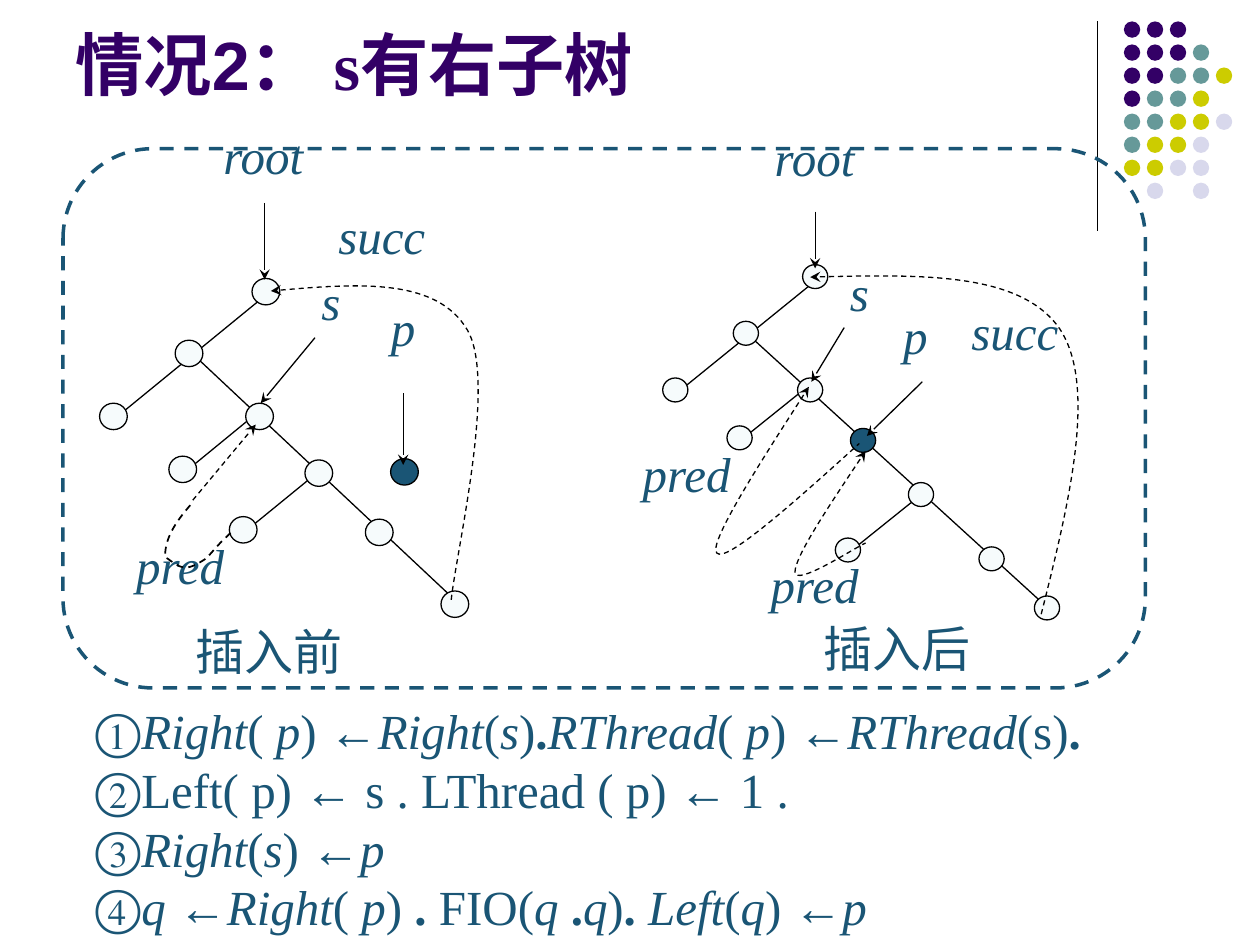
"""Build the slide on inserting node p when s has a right subtree."""
from itertools import chain
from lxml.etree import SubElement
from pptx import Presentation
from pptx.dml.color import RGBColor
from pptx.enum.dml import MSO_LINE
from pptx.enum.shapes import MSO_CONNECTOR, MSO_SHAPE
from pptx.enum.text import MSO_AUTO_SIZE, PP_ALIGN as Align
from pptx.oxml.ns import qn
from pptx.util import Inches, Pt

COLORS = {"purple": "330066", "teal": "669999", "olive": "CCCC00", "mist": "D8D8EC",
          "ink": "1A5575", "pale": "F6FBFC", "black": "000000"}
SERIF = "Times New Roman"
DOT_COLORS = {"p": "purple", "t": "teal", "o": "olive", "m": "mist"}
DOT_ROWS = ["ppp", "pppt", "pptto", "ptto", "ttoom", "toom", "oomm", " m m"]

BEFORE = {
    "size": (0.22, 0.21),
    "edges": [(2.1, 2.35, 0.89, 3.34), (1.52, 2.8, 3.63, 4.78),
              (2.05, 3.27, 1.44, 3.77), (2.52, 3.75, 1.92, 4.24)],
    "nodes": [(2, 2.21), (1.39, 2.7), (0.79, 3.2), (1.95, 3.2), (1.34, 3.62),
              (2.42, 3.65), (1.82, 4.1), (2.9, 4.12), (3.5, 4.69)],
    "inserted": (3.1, 3.64),
    "arrows": [(2.1, 1.61, 2.1, 2.22), (2.5, 2.68, 2.07, 3.2), (3.2, 3.12, 3.2, 3.69)],
    "threads": [[(2.15, 2.31), (2.81, 2.25), (3.47, 2.21), (3.71, 2.62),
                 (3.95, 3.03), (3.61, 4.42), (3.58, 4.78)]],
    "labels": [("root", 1.68, 1.34, 0.82, 9), ("succ", 2.65, 1.97, 0.76, 9),
               ("s", 2.45, 2.48, 0.35, 10), ("p", 2.99, 2.72, 0.42, 8),
               ("pred", 1, 4.59, 0.86, 9)],
    "caption": ("插入前", 1.4, 5.26, 1.47, 10),
}
AFTER = {
    "size": (0.2, 0.19),
    "edges": [(6.47, 2.23, 5.36, 3.13), (5.91, 2.63, 8.3, 4.81),
              (6.42, 3.06, 5.86, 3.51), (7.28, 3.95, 6.72, 4.4)],
    "nodes": [(6.37, 2.1), (5.82, 2.55), (5.26, 3), (6.33, 3), (5.77, 3.38),
              (7.21, 3.83), (6.63, 4.27), (7.77, 4.34), (8.21, 4.73)],
    "inserted": (6.75, 3.4),
    "arrows": [(6.47, 1.68, 6.47, 2.13), (6.7, 2.6, 6.44, 3.03), (7.32, 3.03, 6.88, 3.46)],
    "threads": [[(6.87, 3.58), (6.59, 4), (6.31, 4.42), (6.31, 4.54),
                 (6.31, 4.66), (6.78, 4.35), (6.87, 4.31)],
                [(6.42, 3.07), (6.02, 3.69), (5.62, 4.32), (5.69, 4.39),
                 (5.76, 4.47), (6.29, 4), (6.82, 3.52)],
                [(6.43, 2.2), (7.26, 2.18), (8.1, 2.16), (8.41, 2.61),
                 (8.71, 3.06), (8.49, 3.98), (8.26, 4.89)]],
    "labels": [("root", 6.05, 1.37, 0.83, 8), ("succ", 7.6, 2.75, 0.8, 8),
               ("s", 6.66, 2.41, 0.32, 10), ("p", 7.13, 2.78, 0.27, 8),
               ("pred", 5.07, 3.86, 0.76, 9), ("pred", 6.08, 4.76, 0.77, 8)],
    "caption": ("插入后", 6.33, 5.24, 1.58, 10),
}
PRED_START = (1.53, 3.97, 2.03, 3.37)
PRED_CURVE = [(1.51, 4.01), (1.39, 4.15), (1.31, 4.27), (1.31, 4.42), (1.44, 4.51),
              (1.46, 4.55), (1.64, 4.43), (1.8, 4.25), (1.74, 4.32), (1.83, 4.23)]
STEPS = [
    [("①", ""), ("Right", "i"), ("( ", ""), ("p", "i"), (") ←", ""), ("Right", "i"),
     ("(", ""), ("s", "i"), (")", ""), (".", "b"), ("RThread", "i"), ("( ", ""),
     ("p", "i"), (") ←", ""), ("RThread", "i"), ("(s)", ""), (".", "b")],
    [("②Left( p) ← s . LThread ( p) ← 1 .", "")],
    [("③", ""), ("Right", "i"), ("(", ""), ("s", "i"), (") ←", ""), ("p", "i")],
    [("④", ""), ("q ", "i"), ("←", ""), ("Right", "i"), ("( ", ""), ("p", "i"),
     (")", ""), (" . ", "b"), ("FIO(", ""), ("q ", "i"), (".", "b"), ("q", "i"),
     (")", ""), (". ", "b"), ("Left", "i"), ("(", ""), ("q", "i"), (") ←", ""), ("p", "i")],
]


def color(name):
    return RGBColor.from_string(COLORS[name])


def style_line(line, name="black", width=0.75, dashed=False, head=False, tail=False):
    line.color.rgb = color(name)
    line.width = Pt(width)
    if dashed:
        line.dash_style = MSO_LINE.DASH
    for tag, wanted in (("a:headEnd", head), ("a:tailEnd", tail)):
        if wanted:
            SubElement(line._get_or_add_ln(), qn(tag), type="stealth")


def add_line(slide, ends, **style):
    line = slide.shapes.add_connector(MSO_CONNECTOR.STRAIGHT, *map(Inches, ends))
    style_line(line.line, **style)
    SubElement(line._element.spPr, qn("a:effectLst"))


def add_shape(slide, kind, place, fill=None, **style):
    shape = slide.shapes.add_shape(kind, *map(Inches, place))
    shape.shadow.inherit = False
    if fill:
        shape.fill.solid()
        shape.fill.fore_color.rgb = color(fill)
    else:
        shape.fill.background()
    if style:
        style_line(shape.line, **style)
    else:
        shape.line.fill.background()


def add_curve(slide, points, **style):
    points = [tuple(map(Inches, point)) for point in points]
    builder = slide.shapes.build_freeform(*points[0])
    builder.add_line_segments(points[1:], close=False)
    curve = builder.convert_to_shape()
    segments = list(curve._element.iter(qn("a:lnTo")))
    for first in range(0, len(segments), 3):
        group = segments[first:first + 3]
        outline = group[0].getparent()
        bezier = SubElement(outline, qn("a:cubicBezTo"))
        for segment in group:
            bezier.append(segment[0])
            outline.remove(segment)
    curve.shadow.inherit = False
    curve.fill.background()
    style_line(curve.line, dashed=True, **style)


def add_span(para, text, size=28, font=SERIF, name="ink", style=""):
    span = para.add_run()
    span.text = text
    span.font.size = Pt(size)
    span.font.name = font
    span.font.color.rgb = color(name)
    span.font.bold = "b" in style
    span.font.italic = "i" in style


def add_box(slide, *place):
    frame = slide.shapes.add_textbox(*map(Inches, place)).text_frame
    frame.word_wrap = True
    return frame


def add_label(slide, text, left, top, width, spacing, style="i"):
    frame = add_box(slide, left, top, width, 0.3)
    frame.margin_left = frame.margin_right = frame.margin_top = frame.margin_bottom = 0
    para = frame.paragraphs[0]
    para.alignment = Align.RIGHT if (text, left) == ("succ", 7.6) else Align.CENTER
    para.line_spacing = Pt(spacing)
    add_span(para, text, style=style)


def add_dots(slide):
    for row, codes in enumerate(DOT_ROWS):
        for column, code in enumerate(codes):
            if code in DOT_COLORS:
                place = (8.92 + column * 0.73 / 4, 0.17 + row * 1.28 / 7, 0.13, 0.13)
                add_shape(slide, MSO_SHAPE.OVAL, place, DOT_COLORS[code])


def add_title(slide):
    para = add_box(slide, 0.5, 0.13, 8.25, 0.8).paragraphs[0]
    add_span(para, "情况2： ", 39, "Arial", "purple", "b")
    add_span(para, "s有右子树", 39, SERIF, "purple", "b")


def add_tree(slide, tree):
    for edge in tree["edges"]:
        add_line(slide, edge)
    fills = chain(((node, "pale") for node in tree["nodes"]), [(tree["inserted"], "ink")])
    for node, fill in fills:
        add_shape(slide, MSO_SHAPE.OVAL, node + tree["size"], fill, name="black")
    for arrow in tree["arrows"]:
        add_line(slide, arrow, tail=True)
    for thread in tree["threads"]:
        add_curve(slide, thread, head=True)
    for label in tree["labels"]:
        add_label(slide, *label)
    add_label(slide, *tree["caption"], style="")


def add_steps(slide):
    frame = add_box(slide, 0.66, 5.51, 9.19, 1.99)
    frame.auto_size = MSO_AUTO_SIZE.SHAPE_TO_FIT_TEXT
    for number, step in enumerate(STEPS):
        para = frame.add_paragraph() if number else frame.paragraphs[0]
        for text, style in step:
            add_span(para, text, style=style)


def main():
    deck = Presentation()
    deck.slide_width, deck.slide_height = Inches(10), Inches(7.5)
    page = deck.slides.add_slide(deck.slide_layouts[6])
    add_line(page, (8.71, 0.17, 8.71, 1.83))
    add_dots(page)
    add_title(page)
    add_shape(page, MSO_SHAPE.ROUNDED_RECTANGLE, (0.5, 1.18, 8.59, 4.28),
              name="ink", width=2, dashed=True)
    for tree in (AFTER, BEFORE):
        add_tree(page, tree)
    add_line(page, PRED_START, dashed=True, tail=True)
    add_curve(page, PRED_CURVE, width=1)
    add_steps(page)
    deck.save("out.pptx")


main()
